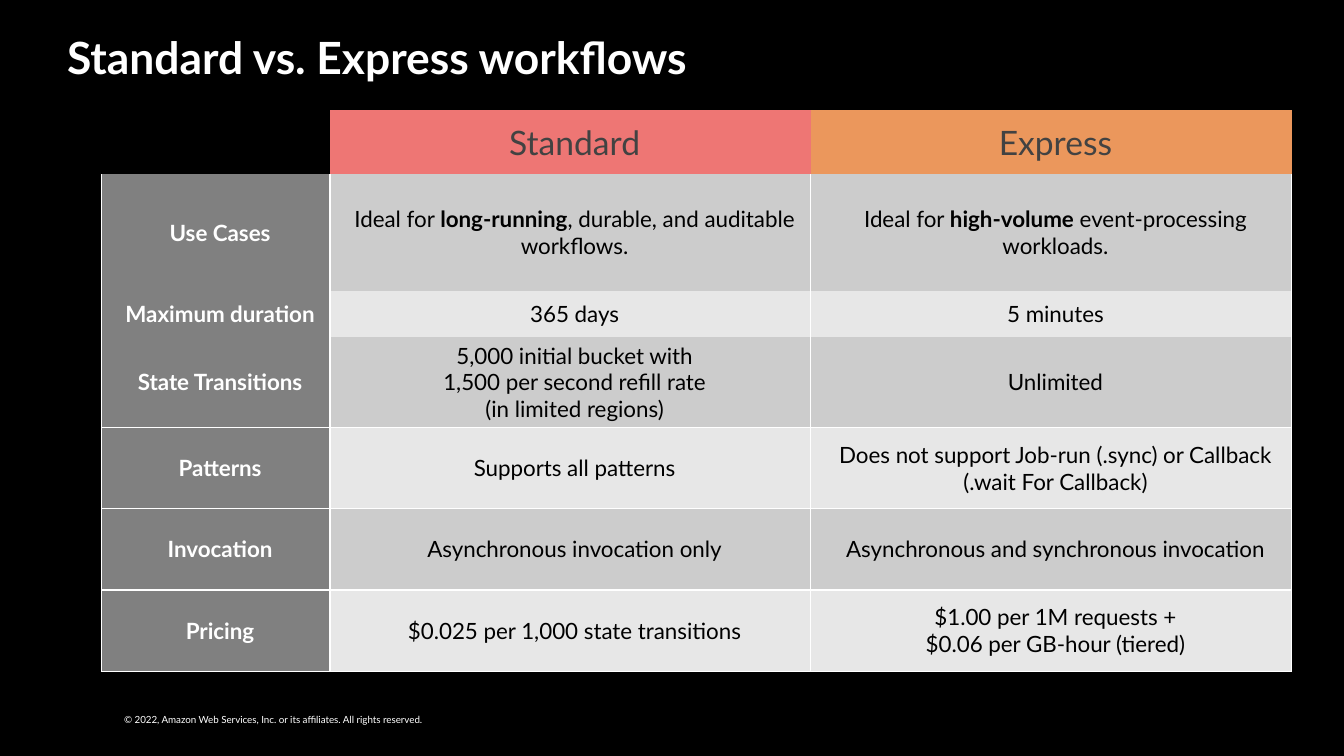
from lxml import etree
from pptx import Presentation
from pptx.dml.color import RGBColor
from pptx.enum import text
from pptx.oxml import ns
from pptx.util import Pt

TITLE = "Standard vs. Express workflows"
COPYRIGHT = "© 2022, Amazon Web Services, Inc. or its affiliates. All rights reserved."
WORKFLOWS = ["Standard", "Express"]
# Topic, Standard, Express, row height; ** marks bold, a line break starts a paragraph
TOPICS = [
    ("Use Cases",
     "Ideal for **long-running**, durable, and auditable workflows.",
     "Ideal for **high-volume** event-processing workloads.", 83),
    ("Maximum duration", "365 days", "5 minutes", 33),
    ("State Transitions",
     "5,000 initial bucket with\n1,500 per second refill rate\n(in limited regions)",
     "Unlimited", 64),
    ("Patterns", "Supports all patterns",
     "Does not support Job-run (.sync) or Callback (.wait For Callback)", 58),
    ("Invocation", "Asynchronous invocation only",
     "Asynchronous and synchronous invocation", 58),
    ("Pricing", "$0.025 per 1,000 state transitions",
     "$1.00 per 1M requests +\n$0.06 per GB-hour (tiered)", 58),
]
COLORS = {
    "background": "000000", "white": "FFFFFF", "body": "000000",
    "heading": "424242", "topic": "808080", "Standard": "EE7674",
    "Express": "EB975C", "dark band": "CCCCCC", "light band": "E7E7E7",
}
FONT = "Lato"
HEADER_HEIGHT = 46
COLUMN_WIDTHS = [163, 343.5, 343.5]
TABLE_LEFT, TABLE_TOP = 72.7, 78.6
FIRST_RULED_ROW = 3


def color(name):
    return RGBColor.from_string(COLORS[name])


def write(frame, content, size, ink, bold=False, align=text.PP_ALIGN.LEFT):
    """Fill a text frame; each ** switches bold on or off."""
    frame.word_wrap = True
    for number, line in enumerate(content.split("\n")):
        paragraph = frame.add_paragraph() if number else frame.paragraphs[0]
        paragraph.alignment = align
        for part, words in enumerate(line.split("**")):
            run = paragraph.add_run()
            run.text = words
            run.font.name = FONT
            run.font.size = Pt(size)
            run.font.bold = bold or part % 2 == 1
            run.font.color.rgb = color(ink)


def set_margins(holder, left, top, right, bottom):
    holder.margin_left, holder.margin_top = Pt(left), Pt(top)
    holder.margin_right, holder.margin_bottom = Pt(right), Pt(bottom)


def add_text(slide, box, margins, content, **style):
    frame = slide.shapes.add_textbox(*map(Pt, box)).text_frame
    set_margins(frame, *margins)
    write(frame, content, **style)


def set_borders(cell, ruled):
    """Draw a white line on the edges in ruled and clear the others."""
    properties = cell._tc.get_or_add_tcPr()
    for position, edge in enumerate("LRTB"):
        line = etree.Element(ns.qn("a:ln" + edge), w=str(Pt(1)))
        if edge in ruled:
            fill = etree.SubElement(line, ns.qn("a:solidFill"))
            etree.SubElement(fill, ns.qn("a:srgbClr"), val=COLORS["white"])
        else:
            etree.SubElement(line, ns.qn("a:noFill"))
        properties.insert(position, line)


def fill_cell(cell, content, fill, ruled="", **style):
    set_margins(cell, 12, 3.6, 6, 3.6)
    cell.vertical_anchor = text.MSO_ANCHOR.MIDDLE
    cell.fill.solid()
    cell.fill.fore_color.rgb = color(fill)
    write(cell.text_frame, content, align=text.PP_ALIGN.CENTER, **style)
    set_borders(cell, ruled)


def add_comparison(slide):
    heights = [HEADER_HEIGHT] + [topic[-1] for topic in TOPICS]
    table = slide.shapes.add_table(
        len(heights), len(COLUMN_WIDTHS), Pt(TABLE_LEFT), Pt(TABLE_TOP),
        Pt(sum(COLUMN_WIDTHS)), Pt(sum(heights))).table
    table.first_row = table.horz_banding = False
    for column, width in zip(table.columns, COLUMN_WIDTHS):
        column.width = Pt(width)
    for row, height in zip(table.rows, heights):
        row.height = Pt(height)

    corner = table.cell(0, 0)
    corner.fill.background()
    set_borders(corner, "")
    for column, workflow in enumerate(WORKFLOWS, 1):
        fill_cell(table.cell(0, column), workflow, workflow, size=24, ink="heading")

    for row, (topic, *answers, _) in enumerate(TOPICS, 1):
        ruled = "LR"
        if row > FIRST_RULED_ROW:
            ruled += "T"
        if row >= FIRST_RULED_ROW:
            ruled += "B"
        fill_cell(table.cell(row, 0), topic, "topic", ruled,
                  size=16, ink="white", bold=True)
        band = "dark band" if row % 2 else "light band"
        for column, answer in enumerate(answers, 1):
            fill_cell(table.cell(row, column), answer, band, ruled,
                      size=16, ink="body")


def main():
    deck = Presentation()
    deck.slide_width, deck.slide_height = Pt(960), Pt(540)
    slide = deck.slides.add_slide(deck.slide_layouts[6])
    slide.background.fill.solid()
    slide.background.fill.fore_color.rgb = color("background")
    add_text(slide, (88.6, 509.8, 312, 8.6), (0, 0, 0, 0), COPYRIGHT,
             size=7, ink="white")
    add_comparison(slide)
    add_text(slide, (36, 12.2, 886, 57.6), (12, 9.4, 12, 9.4), TITLE,
             size=31.7, ink="white", bold=True)
    deck.save("out.pptx")


if __name__ == "__main__":
    main()
